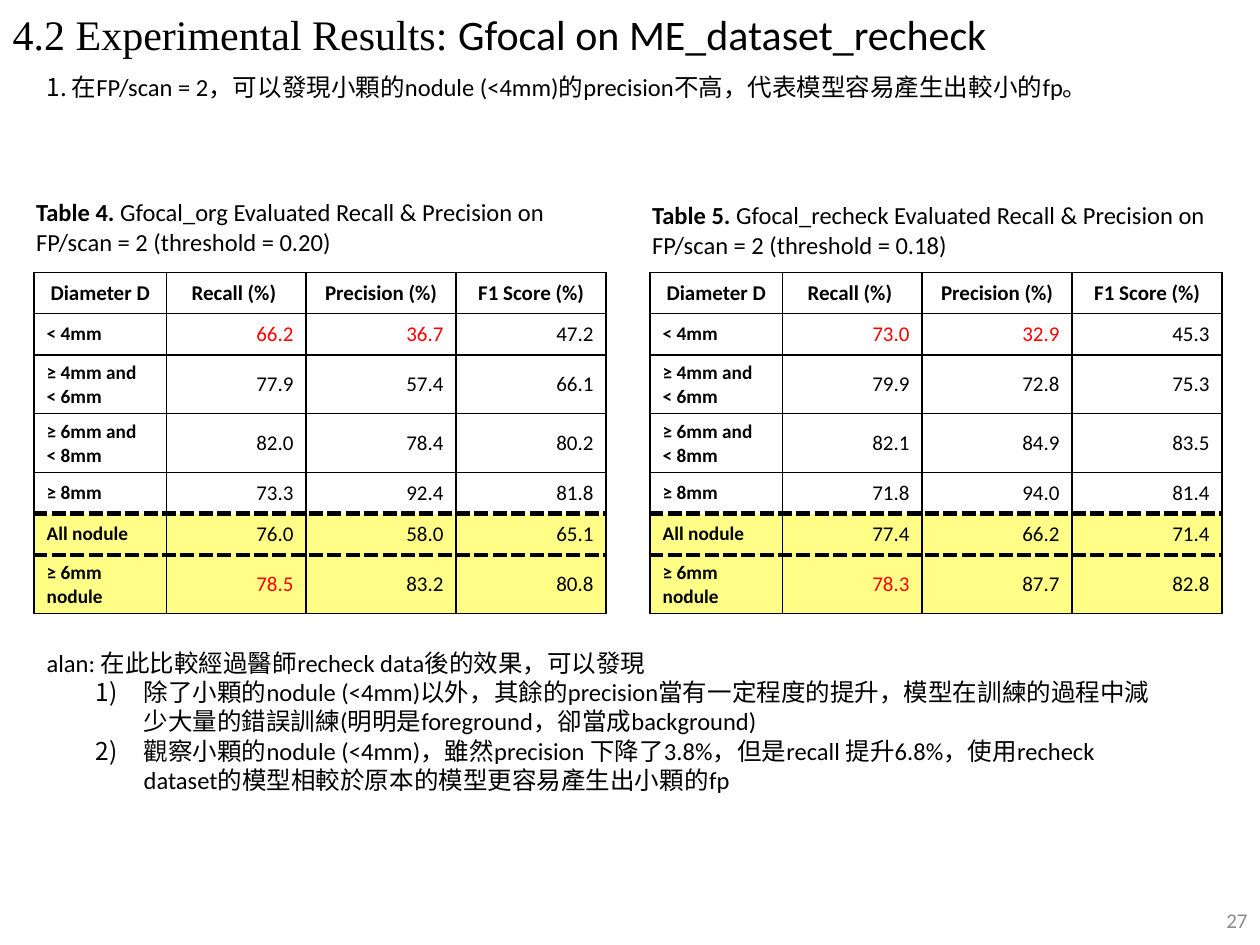
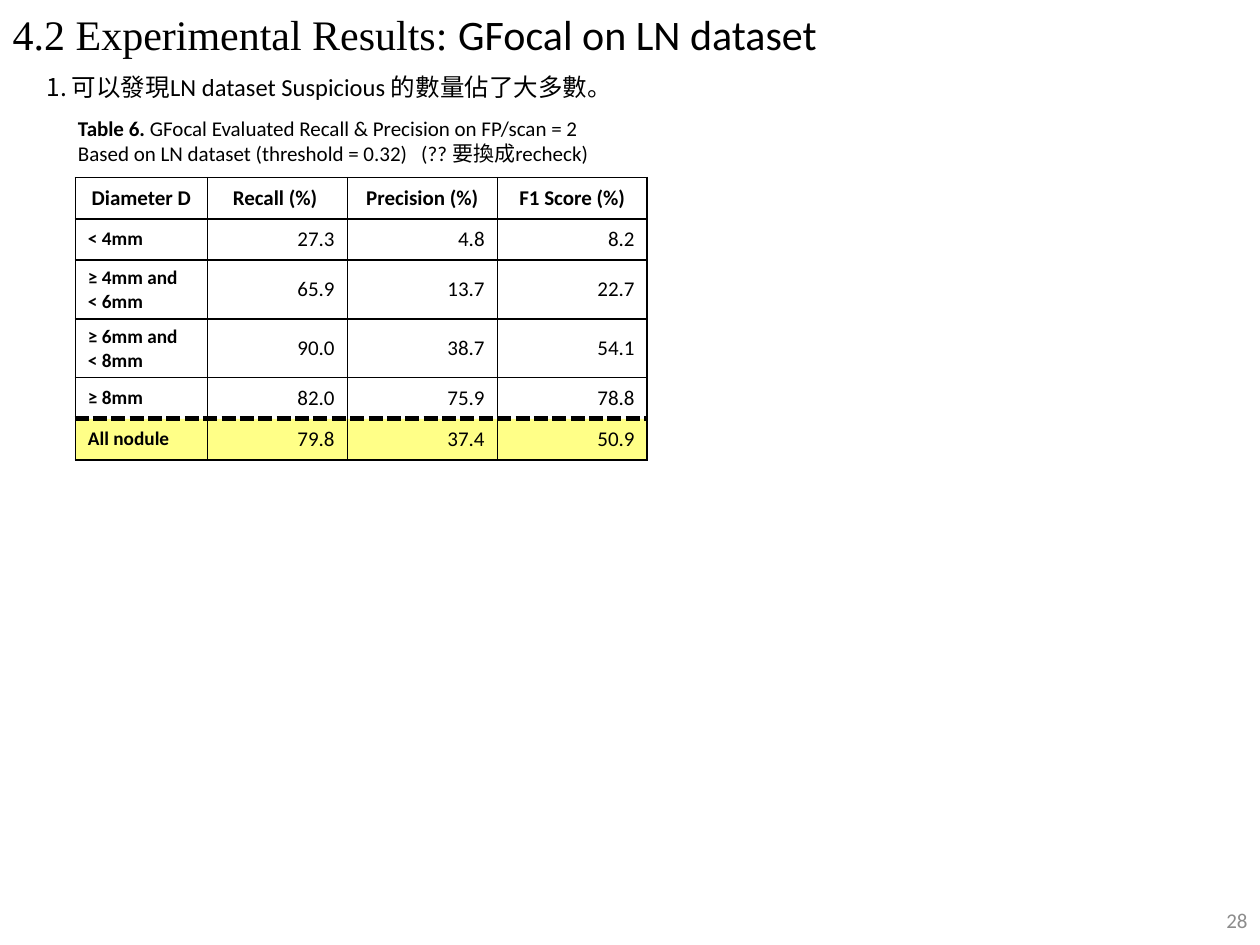
from dataclasses import dataclass
from lxml.etree import SubElement
from pptx import Presentation
from pptx.dml.color import RGBColor
from pptx.enum.text import MSO_ANCHOR, MSO_AUTO_SIZE, PP_ALIGN
from pptx.oxml.ns import qn
from pptx.util import Pt

BLACK, RED, GRAY, YELLOW = "000000", "FF0000", "8C8C8C", "FFFF00"
SANS, SERIF = "Calibri", "Times New Roman"
HEADS = ("Diameter D", "Recall (%) ", "Precision (%)", "F1 Score (%)")
SIZES = ("< 4mm", "≥ 4mm and\n< 6mm", "≥ 6mm and\n< 8mm", "≥ 8mm",
         "All nodule", "≥ 6mm nodule")
WIDTHS = (75.6, 79.9, 85.7, 85.7)
ROW = 23.5
TOTAL = 5


@dataclass
class Box:
    left: float
    top: float
    width: float
    height: float

    def pts(self) -> list:
        return [Pt(v) for v in (self.left, self.top, self.width, self.height)]


@dataclass
class Grid:
    left: float
    top: float
    rows: tuple
    red: tuple = ()


@dataclass
class Label:
    box: Box
    head: str
    lines: tuple
    size: float


@dataclass
class Page:
    number: int
    title: str
    width: float
    lead: str
    span: float
    grids: tuple
    labels: tuple
    notes: tuple = ()


MARKS = ((1, 1), (1, 2), (6, 1))
PAGES = (
    Page(27, "Gfocal on ME_dataset_recheck", 582,
         "在FP/scan = 2，可以發現小顆的nodule (<4mm)的precision不高，代表模型容易產生出較小的fp。", 641,
         (Grid(19.5, 155.75, ("66.2 36.7 47.2", "77.9 57.4 66.1", "82.0 78.4 80.2",
                              "73.3 92.4 81.8", "76.0 58.0 65.1", "78.5 83.2 80.8"), MARKS),
          Grid(371.5, 155.75, ("73.0 32.9 45.3", "79.9 72.8 75.3", "82.1 84.9 83.5",
                               "71.8 94.0 81.4", "77.4 66.2 71.4", "78.3 87.7 82.8"), MARKS)),
         (Label(Box(13.5, 109.25, 333.5, 41), "Table 4. ",
                ("Gfocal_org Evaluated Recall & Precision on FP/scan = 2 (threshold = 0.20)",), 14),
          Label(Box(365.5, 111, 333.5, 41), "Table 5. ",
                ("Gfocal_recheck Evaluated Recall & Precision on FP/scan = 2 (threshold = 0.18)",), 14)),
         ("alan: 在此比較經過醫師recheck data後的效果，可以發現",
          "除了小顆的nodule (<4mm)以外，其餘的precision當有一定程度的提升，模型在訓練的過程中"
          "減少大量的錯誤訓練(明明是foreground，卻當成background)",
          "觀察小顆的nodule (<4mm)，雖然precision 下降了3.8%，但是recall 提升6.8%，"
          "使用recheck dataset的模型相較於原本的模型更容易產生出小顆的fp")),
    Page(28, "GFocal on LN dataset", 478,
         "可以發現LN dataset Suspicious 的數量佔了大多數。", 534,
         (Grid(43, 101.5, ("27.3 4.8 8.2", "65.9 13.7 22.7", "90.0 38.7 54.1",
                           "82.0 75.9 78.8", "79.8 37.4 50.9")),),
         (Label(Box(37.5, 62.5, 332.5, 36), "Table 6. ",
                ("GFocal Evaluated Recall & Precision on FP/scan = 2",
                 "Based on LN dataset (threshold = 0.32)   (?? 要換成recheck)"), 12),)),
)


def tint(code: str) -> RGBColor:
    return RGBColor.from_string(code)


def style(par, size: float, color: str = BLACK, name: str = SANS, bold=None) -> None:
    font = par.font
    font.size, font.name, font.bold = Pt(size), name, bold
    font.color.rgb = tint(color)


def place(shape, box: Box, wrap: bool = True):
    shape.left, shape.top, shape.width, shape.height = box.pts()
    frame = shape.text_frame
    frame.word_wrap = wrap
    frame.auto_size = MSO_AUTO_SIZE.SHAPE_TO_FIT_TEXT
    frame.vertical_anchor = MSO_ANCHOR.TOP
    return frame


def add_box(slide, box: Box):
    return place(slide.shapes.add_textbox(*box.pts()), box)


def count(par, kind: str, left: float, hang: float) -> None:
    props = par._p.get_or_add_pPr()
    props.set("marL", str(Pt(left)))
    props.set("indent", str(-Pt(hang)))
    SubElement(props, qn("a:buFont"), typeface="+mj-lt")
    SubElement(props, qn("a:buAutoNum"), type=kind)


def add_title(slide, page: Page) -> None:
    frame = place(slide.shapes.title, Box(0, 1.5, page.width, 36), False)
    par = frame.paragraphs[0]
    par.alignment = PP_ALIGN.LEFT
    style(par, 24)
    for text, name in (("4.2 Experimental Results: ", SERIF), (page.title, SANS)):
        run = par.add_run()
        run.text, run.font.name = text, name


def add_lead(slide, page: Page) -> None:
    frame = place(slide.placeholders[1], Box(19.5, 37.5, page.span, 24.5))
    frame.text = page.lead
    par = frame.paragraphs[0]
    par.space_before = Pt(0)
    count(par, "arabicPeriod", 14.4, 14.4)
    style(par, 14)


def add_label(slide, label: Label) -> None:
    frame = add_box(slide, label.box)
    frame.text = "\n".join(("",) + label.lines[1:])
    first = frame.paragraphs[0]
    for text, bold in ((label.head, True), (label.lines[0], False)):
        run = first.add_run()
        run.text, run.font.bold = text, bold
    for par in frame.paragraphs:
        style(par, label.size)


def add_notes(slide, notes: tuple) -> None:
    frame = add_box(slide, Box(19.5, 366.5, 657.5, 92))
    frame.text = "\n".join(notes)
    for i, par in enumerate(frame.paragraphs):
        if i:
            count(par, "arabicParenR", 55.5, 27.5)
        style(par, 14)


def edge(cell, dashes: str) -> None:
    props = cell._tc.get_or_add_tcPr()
    for i, side in enumerate("LRTB"):
        dash = side in dashes
        line = SubElement(props, qn(f"a:ln{side}"), w=str(Pt(3 if dash else 1)))
        fill = SubElement(line, qn("a:solidFill"))
        SubElement(fill, qn("a:srgbClr"), val=BLACK)
        SubElement(line, qn("a:prstDash"), val="dash" if dash else "solid")
        props.insert(i, line)


def paint(cell, total: bool) -> None:
    if not total:
        cell.fill.background()
        return
    cell.fill.solid()
    cell.fill.fore_color.rgb = tint(YELLOW)
    color = cell._tc.tcPr.find(".//" + qn("a:srgbClr"))
    SubElement(color, qn("a:alpha"), val="47000")


def add_grid(slide, grid: Grid) -> None:
    data = [HEADS] + [(name, *row.split()) for name, row in zip(SIZES, grid.rows)]
    box = Box(grid.left, grid.top, sum(WIDTHS), ROW * len(data))
    table = slide.shapes.add_table(len(data), len(HEADS), *box.pts()).table
    table.first_row = table.horz_banding = False
    for col, width in zip(table.columns, WIDTHS):
        col.width = Pt(width)
    for r, row in enumerate(data):
        table.rows[r].height = Pt(ROW)
        dashes = "T" * (r >= TOTAL) + "B" * (TOTAL - 1 <= r < len(data) - 1)
        for c, text in enumerate(row):
            cell = table.cell(r, c)
            cell.text = text
            cell.vertical_anchor = MSO_ANCHOR.MIDDLE
            paint(cell, r >= TOTAL)
            edge(cell, dashes)
            side = PP_ALIGN.CENTER if r == 0 else PP_ALIGN.RIGHT if c else PP_ALIGN.LEFT
            for par in cell.text_frame.paragraphs:
                par.alignment = side
                style(par, 11 if r and not c else 12,
                      RED if (r, c) in grid.red else BLACK, bold=not (r and c))


def add_number(slide, number: int) -> None:
    frame = add_box(slide, Box(558, 511, 162, 29))
    frame.auto_size = MSO_AUTO_SIZE.NONE
    frame.vertical_anchor = MSO_ANCHOR.MIDDLE
    frame.text = str(number)
    par = frame.paragraphs[0]
    par.alignment = PP_ALIGN.RIGHT
    style(par, 12, GRAY)


def main() -> None:
    deck = Presentation()
    deck.slide_width, deck.slide_height = Pt(720), Pt(540)
    for page in PAGES:
        slide = deck.slides.add_slide(deck.slide_layouts[1])
        add_title(slide, page)
        add_lead(slide, page)
        for grid in page.grids:
            add_grid(slide, grid)
        for label in page.labels:
            add_label(slide, label)
        if page.notes:
            add_notes(slide, page.notes)
        add_number(slide, page.number)
    deck.save("out.pptx")


if __name__ == "__main__":
    main()
